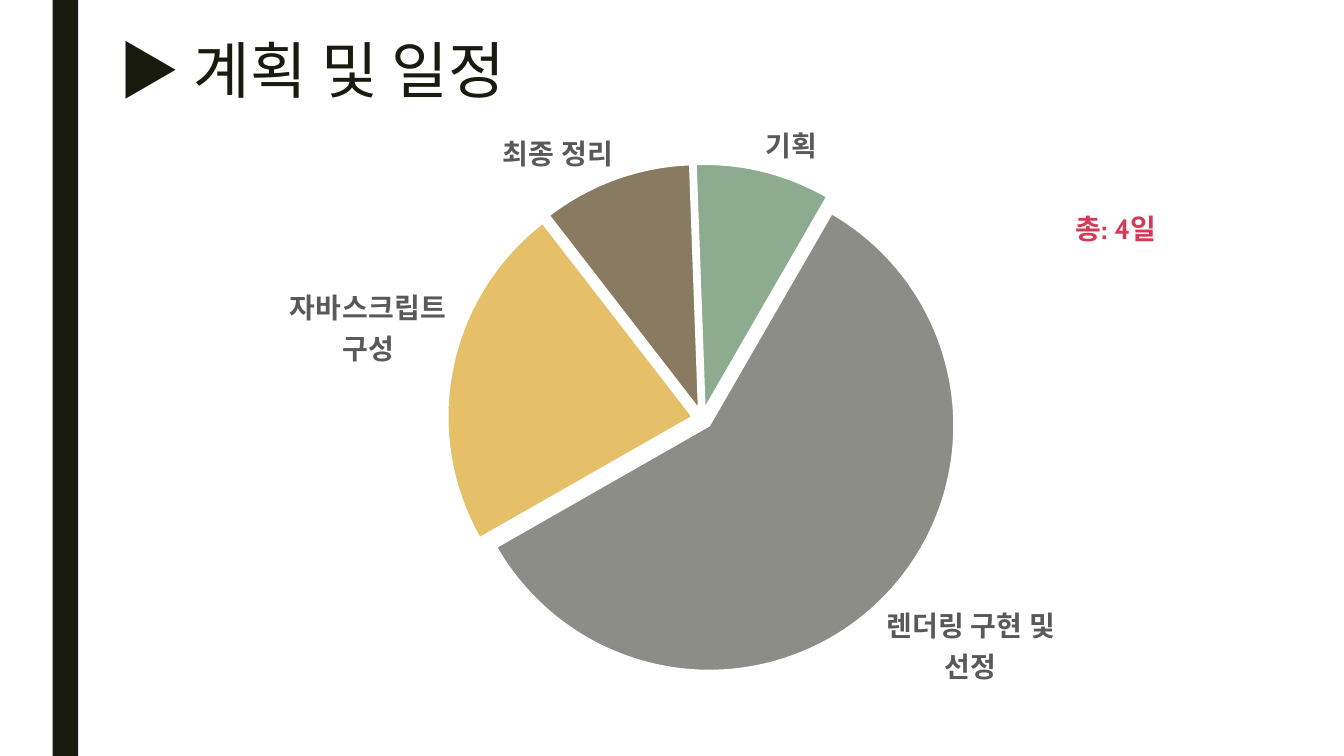
from dataclasses import dataclass

from lxml import etree
from pptx import Presentation
from pptx.chart.data import CategoryChartData
from pptx.dml.color import RGBColor
from pptx.enum.chart import XL_CHART_TYPE, XL_LABEL_POSITION
from pptx.enum.shapes import MSO_SHAPE
from pptx.enum.text import MSO_ANCHOR, PP_ALIGN
from pptx.oxml.ns import qn
from pptx.util import Cm, Pt

PIE = XL_CHART_TYPE.PIE
OUTSIDE_END = XL_LABEL_POSITION.OUTSIDE_END
RECTANGLE = MSO_SHAPE.RECTANGLE
TOP, MIDDLE = MSO_ANCHOR.TOP, MSO_ANCHOR.MIDDLE
LEFT, CENTER = PP_ALIGN.LEFT, PP_ALIGN.CENTER


@dataclass(frozen=True)
class Theme:
    """Colours, fonts and type sizes of the slide."""
    dark: str = "191B0E"
    white: str = "FFFFFF"
    label: str = "595959"
    accent: str = "D13B56"
    title_font: str = "Noto Sans CJK KR"
    body_font: str = "Cabin"
    title_size: int = 44
    body_size: int = 20


THEME = Theme()
PLOT_LAYOUT = {"x": 0.293, "y": 0.085, "w": 0.411, "h": 0.825}
START_ANGLE = 30
EXPLOSION = 4
STAGES = [
    ("1분기", 59, "8C8D86", "렌더링 구현 및\n선정"),
    ("2분기", 23, "E6C069", "자바스크립트\n구성"),
    ("3분기", 10, "897B61", "최종 정리"),
    ("4분기", 9, "8DAB8E", "기획"),
]


def style_font(font, name, size, color, bold=False):
    """Give a font its name, size, colour and weight."""
    font.name = name
    font.size = Pt(size)
    font.bold = bold
    font.color.rgb = RGBColor.from_string(color)


def add_side_bar(slide, left, top, width, height):
    """Draw the dark vertical bar."""
    bar = slide.shapes.add_shape(RECTANGLE, left, top, width, height)
    bar.shadow.inherit = False
    bar.fill.solid()
    bar.fill.fore_color.rgb = RGBColor.from_string(THEME.dark)
    bar.line.fill.background()


def add_text(slide, box, text, anchor, alignment):
    """Add a wrapped one-paragraph text box and return its paragraph."""
    frame = slide.shapes.add_textbox(*box).text_frame
    frame.word_wrap = True
    frame.vertical_anchor = anchor
    paragraph = frame.paragraphs[0]
    paragraph.text = text
    paragraph.alignment = alignment
    return paragraph


def add_title(slide, *box):
    """Place the slide heading."""
    paragraph = add_text(slide, box, "▶ 계획 및 일정", TOP, LEFT)
    paragraph.line_spacing = 0.89
    style_font(paragraph.font, THEME.title_font, THEME.title_size, THEME.dark)


def add_total(slide, *box):
    """Place the total number of days."""
    paragraph = add_text(slide, box, "총: 4일", MIDDLE, CENTER)
    style_font(paragraph.font, THEME.body_font, THEME.body_size, THEME.accent, True)


def set_pie_geometry(chart, series):
    """Set the plot area, slice explosion and first slice angle."""
    plot_area = chart.plots[0]._element.getparent()
    for old_layout in plot_area.findall(qn("c:layout")):
        plot_area.remove(old_layout)
    layout = etree.Element(qn("c:layout"))
    plot_area.insert(0, layout)
    manual = etree.SubElement(layout, qn("c:manualLayout"))
    settings = {"layoutTarget": "inner", "xMode": "edge", "yMode": "edge", **PLOT_LAYOUT}
    for tag, value in settings.items():
        etree.SubElement(manual, qn(f"c:{tag}")).set("val", str(value))
    explosion = etree.Element(qn("c:explosion"))
    explosion.set("val", str(EXPLOSION))
    series._element.find(qn("c:tx")).addnext(explosion)
    angle = etree.SubElement(chart.plots[0]._element, qn("c:firstSliceAng"))
    angle.set("val", str(START_ANGLE))


def add_schedule_chart(slide, *box):
    """Draw the pie of project stages with labels outside."""
    data = CategoryChartData()
    data.categories = [stage[0] for stage in STAGES]
    data.add_series("Series 1", [stage[1] for stage in STAGES])
    chart = slide.shapes.add_chart(PIE, *box, data).chart
    chart.has_title = False
    chart.has_legend = False
    style_font(chart.font, THEME.body_font, THEME.body_size, THEME.label, True)
    plot = chart.plots[0]
    plot.vary_by_categories = True
    series = plot.series[0]
    set_pie_geometry(chart, series)
    for index, (_, _, color, name) in enumerate(STAGES):
        point = series.points[index]
        point.format.fill.solid()
        point.format.fill.fore_color.rgb = RGBColor.from_string(color)
        point.format.line.color.rgb = RGBColor.from_string(THEME.white)
        point.format.line.width = Pt(1.5)
        label = point.data_label
        label.text_frame.text = name
        label.position = OUTSIDE_END
        for paragraph in label.text_frame.paragraphs:
            for run in paragraph.runs:
                style_font(run.font, THEME.body_font, THEME.body_size, THEME.label, True)


def build_schedule_slide(presentation):
    """Build the plan and schedule slide."""
    slide = presentation.slides.add_slide(presentation.slide_layouts[6])
    add_side_bar(slide, Cm(1.33), 0, Cm(0.64), presentation.slide_height)
    add_title(slide, Cm(2.74), Cm(0.91), Cm(26.67), Cm(4.11))
    add_schedule_chart(slide, Cm(2.11), Cm(2.79), Cm(31.27), Cm(15.6))
    add_total(slide, Cm(24.03), Cm(3.73), Cm(8.18), Cm(4.06))


def main():
    """Create and save the presentation."""
    presentation = Presentation()
    presentation.slide_width = Cm(33.87)
    presentation.slide_height = Cm(19.05)
    build_schedule_slide(presentation)
    presentation.save("out.pptx")


if __name__ == "__main__":
    main()
